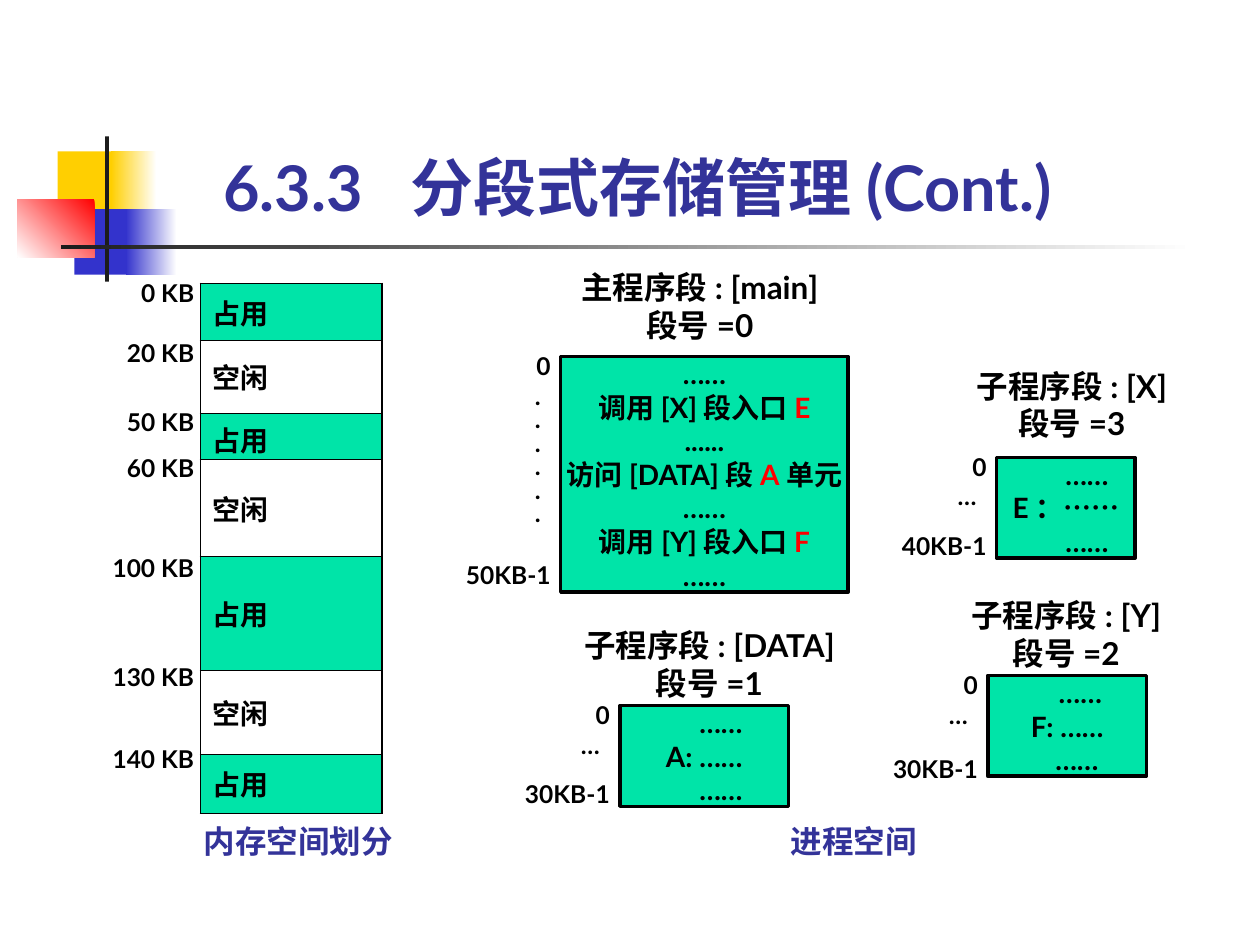
from lxml import etree
from pptx import Presentation
from pptx import util as u
from pptx.dml import color as dml
from pptx.enum import shapes, text
from pptx.oxml import ns

BLACK, WHITE, RED = "000000", "FFFFFF", "FF0000"
GREEN, INDIGO = "00E4A8", "333399"
YELLOW, BLUE, CHARCOAL = "FFCF01", "3333CC", "1C1C1C"
LEFT, CENTER, RIGHT = text.PP_ALIGN.LEFT, text.PP_ALIGN.CENTER, text.PP_ALIGN.RIGHT
TOP, MIDDLE, BOTTOM = text.MSO_ANCHOR.TOP, text.MSO_ANCHOR.MIDDLE, text.MSO_ANCHOR.BOTTOM
NO_INSETS = dict.fromkeys(("margin_left", "margin_top", "margin_right", "margin_bottom"), 0)


def rgb(value):
    return dml.RGBColor.from_string(value)


def apply(target, values):
    for name, value in values.items():
        setattr(target, name, value)


def points(*lengths):
    return [u.Pt(length) for length in lengths]


def write_line(paragraph, pieces, size, color=BLACK, align=LEFT, spacing=1.0, indent=0):
    apply(paragraph, {"alignment": align, "line_spacing": spacing})
    if indent:
        paragraph._p.get_or_add_pPr().set("marL", str(u.Pt(indent)))
    for order, piece in enumerate(pieces):
        run = paragraph.add_run()
        run.text = piece
        apply(run.font, {"name": "Lato", "size": u.Pt(size), "bold": True})
        run.font.color.rgb = rgb(RED if order % 2 else color)


def write_lines(frame, lines, size, anchor=TOP, indents=None, **look):
    apply(frame, {"word_wrap": True, "vertical_anchor": anchor, **NO_INSETS})
    for order, line in enumerate(lines):
        paragraph = frame.add_paragraph() if order else frame.paragraphs[0]
        pieces = [line] if isinstance(line, str) else line
        indent = indents[order] if indents else 0
        write_line(paragraph, pieces, size, indent=indent, **look)


def add_label(slide, place, lines, size, **look):
    label = slide.shapes.add_textbox(*points(*place))
    write_lines(label.text_frame, lines, size, **look)
    return label


def add_rectangle(slide, place, fill, fade=None, angle=0, outline=0):
    rectangle = slide.shapes.add_shape(shapes.MSO_SHAPE.RECTANGLE, *points(*place))
    rectangle.shadow.inherit = False
    if fade:
        rectangle.fill.gradient()
        rectangle.fill.gradient_angle = angle
        for stop, shade in zip(rectangle.fill.gradient_stops, (fill, fade)):
            stop.color.rgb = rgb(shade)
    else:
        rectangle.fill.solid()
        rectangle.fill.fore_color.rgb = rgb(fill)
    if outline:
        rectangle.line.width = u.Pt(outline)
        rectangle.line.color.rgb = rgb(BLACK)
    else:
        rectangle.line.fill.background()
    return rectangle


def add_ornament(slide):
    add_rectangle(slide, (33, 86.5, 34.5, 37.5), YELLOW)
    add_rectangle(slide, (63.5, 86.5, 26, 37.5), WHITE, YELLOW, 180)
    add_rectangle(slide, (42.5, 119.5, 33, 37.5), BLUE)
    add_rectangle(slide, (72, 119.5, 29, 37.5), WHITE, BLUE, 180)
    add_rectangle(slide, (10, 113.8, 44, 33.2), RED, WHITE, 225)
    add_rectangle(slide, (60, 78, 2.3, 83), CHARCOAL)
    add_rectangle(slide, (34.8, 140.1, 648, 2.5), WHITE, CHARCOAL, 180)


def add_title(slide):
    title = add_label(slide, (127.5, 91.5, 499, 36.7), ["6.3.3\t分段式存储管理(Cont.)"], 36,
                      color=INDIGO, spacing=0.85, anchor=BOTTOM)
    properties = title.text_frame.paragraphs[0]._p.get_or_add_pPr()
    tabs = etree.SubElement(properties, ns.qn("a:tabLst"))
    etree.SubElement(tabs, ns.qn("a:tab"), pos=str(u.Pt(107)), algn="l")


def add_border(cell, side, width):
    line = etree.SubElement(cell._tc.get_or_add_tcPr(), ns.qn(f"a:{side}"), w=str(u.Pt(width)))
    fill = etree.SubElement(line, ns.qn("a:solidFill"))
    etree.SubElement(fill, ns.qn("a:srgbClr"), val=BLACK)


def add_memory_map(slide):
    heights = (32.4, 41.8, 23.8, 55.4, 64.8, 48.2, 33.8)
    last = len(heights) - 1
    memory = slide.shapes.add_table(
        len(heights), 1, *points(114.5, 162, 103.7, sum(heights))).table
    apply(memory, {"first_row": False, "horz_banding": False})
    for order, height in enumerate(heights):
        memory.rows[order].height = u.Pt(height)
        cell = memory.cell(order, 0)
        cell.vertical_anchor = MIDDLE
        used = order % 2 == 0
        write_line(cell.text_frame.paragraphs[0], ["占用" if used else "空闲"], 16)
        for side, width in (("lnL", 1.08), ("lnR", 1.08),
                            ("lnT", 0.45 if order else 1.08),
                            ("lnB", 0.45 if order < last else 1.08)):
            add_border(cell, side, width)
        cell.fill.solid()
        cell.fill.fore_color.rgb = rgb(GREEN if used else WHITE)

    addresses = ((0, 162), (20, 196.5), (50, 236), (60, 262),
                 (100, 319), (130, 381.5), (140, 428.5))
    for address, top in addresses:
        add_label(slide, (60, top, 51, 13.5), [f"{address} KB"], 14, align=RIGHT, spacing=0.8)


def add_segment(slide, place, code, heading, heading_place, last_address, last_top,
                indents=None, gap=("…",)):
    left, top = place[:2]
    body = add_rectangle(slide, place, GREEN, outline=2)
    write_lines(body.text_frame, code, 16, align=CENTER, indents=indents)
    add_label(slide, (*heading_place, 43.2), heading, 18, align=CENTER)
    edge = left - 5.7
    for right, label_top, width, lines in (
            (edge, top + 0.3, 17, ["0"]),
            (edge, last_top, 57, [last_address]),
            (edge - 5.7, top + 17, 11.5, gap)):
        add_label(slide, (right - width, label_top, width, 13.5 * len(lines)), lines, 14,
                  align=RIGHT, spacing=0.8)


def add_process_space(slide):
    main_code = ["……", ("调用[X]段入口", "E"), "......", ("访问[DATA]段", "A", "单元"),
                 "……", ("调用[Y]段入口", "F"), "……"]
    add_segment(slide, (320.4, 203.8, 164.2, 134.6), main_code,
                ["主程序段: [main]", "段号=0"], (320.4, 153.4, 159),
                "50KB-1", 323.3, gap=["."] * 6)
    add_segment(slide, (564.5, 386, 90.7, 57.6), ["……", "F: ……", "……"],
                ["子程序段: [Y]", "段号=2"], (547, 340.6, 124.5),
                "30KB-1", 434.2, indents=(15, 0, 11))
    add_segment(slide, (569.5, 261.4, 79.2, 57.6), ["……", "E：……", "……"],
                ["子程序段: [X]", "段号=3"], (553, 209.5, 119),
                "40KB-1", 306.7, indents=(24, 0, 24))
    add_segment(slide, (354.2, 403.2, 96.5, 57.6), ["……", "A: ……", "……"],
                ["子程序段: [DATA]", "段号=1"], (326.2, 357.8, 158.4),
                "30KB-1", 448.6, indents=(19, 0, 19))


def main():
    presentation = Presentation()
    apply(presentation, {"slide_width": u.Pt(720), "slide_height": u.Pt(540)})
    slide = presentation.slides.add_slide(presentation.slide_layouts[6])
    add_ornament(slide)
    add_title(slide)
    add_memory_map(slide)
    add_process_space(slide)
    for caption, left in (("内存空间划分", 111), ("进程空间", 428.4)):
        add_label(slide, (left, 474, 119, 17.3), [caption], 18,
                  color=INDIGO, align=CENTER, spacing=0.8)
    presentation.save("out.pptx")


if __name__ == "__main__":
    main()
